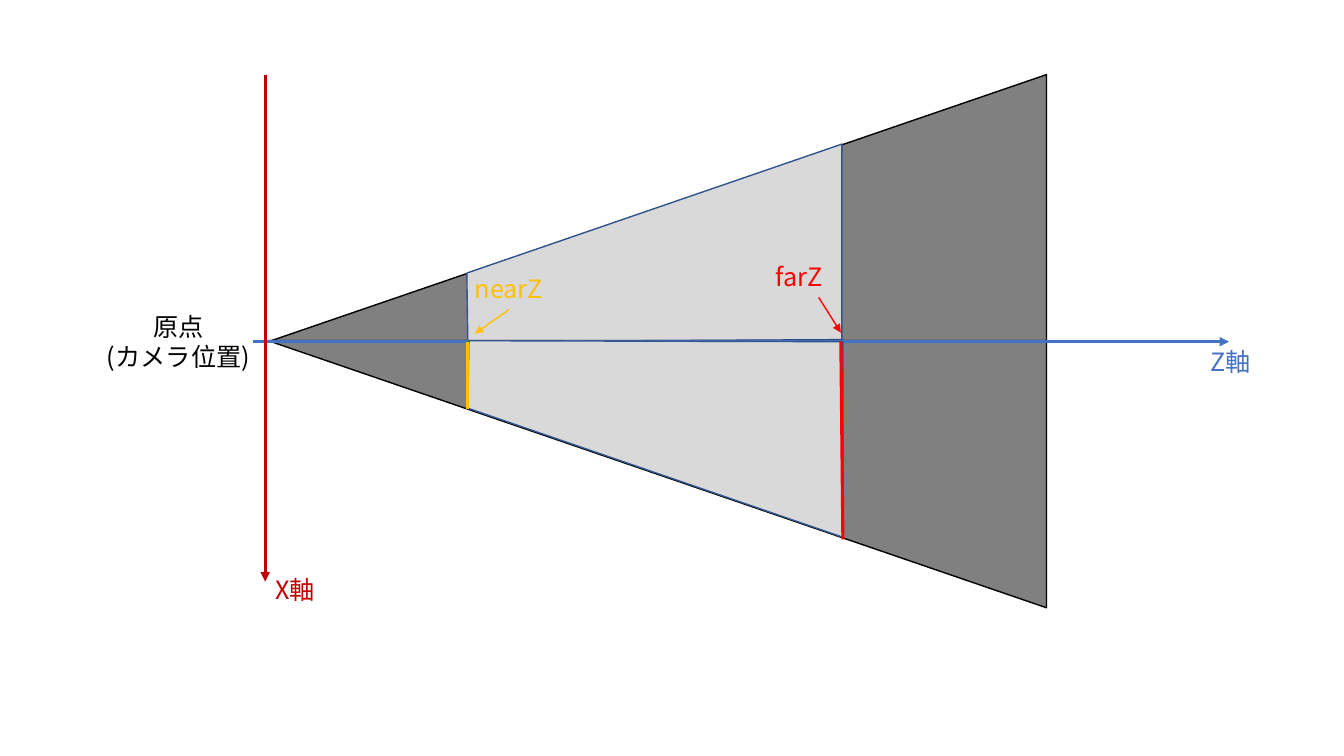
from lxml import etree
from pptx import Presentation
from pptx.dml.color import RGBColor as RGB
from pptx.enum.shapes import MSO_CONNECTOR as Connector, MSO_SHAPE as Shape
from pptx.enum.text import MSO_AUTO_SIZE as AutoSize, PP_ALIGN as Align
from pptx.oxml.ns import qn
from pptx.util import Inches, Pt

THEME = {
    "font": "Noto Sans CJK JP",
    "label_size": 18, "outline": 1, "thick": 2.25,
    "clipped": "808080", "visible": "D9D9D9",
    "edge": "000000", "visible_edge": "325491",
    "z": "4472C4", "x": "C00000",
    "near": "FFC000", "far": "FF0000", "origin": "000000",
}

UPPER_HALF = ((2.66, 0.74), {"flipH": "1"})
LOWER_HALF = ((2.66, 3.38), {"flipH": "1", "flipV": "1"})
HALF_SIZE = (7.72, 2.65)

UPPER_FRUSTUM = [(4.64, 3.39), (4.63, 2.71), (8.35, 1.43), (8.35, 3.37)]
LOWER_FRUSTUM = [(4.65, 3.38), (4.64, 4.05), (8.36, 5.33), (8.36, 3.39)]

ARROWS = [
    ("z", (2.51, 3.39), (12.19, 3.39), "thick"),
    ("x", (2.63, 0.74), (2.63, 5.77), "thick"),
    ("near", (5.05, 3.07), (4.71, 3.31), "outline"),
    ("far", (8.12, 2.95), (8.34, 3.3), "outline"),
]
CLIP_EDGES = [
    ("near", (4.64, 4.06), (4.64, 3.39)),
    ("far", (8.36, 5.35), (8.34, 3.39)),
]
LABELS = [
    ("z", ["Z軸"], (11.91, 3.39, 1.15, 0.4), Align.LEFT),
    ("x", ["X軸"], (2.63, 5.65, 1.15, 0.4), Align.LEFT),
    ("near", ["nearZ"], (4.47, 2.66, 1.15, 0.4), Align.CENTER),
    ("far", ["farZ"], (7.35, 2.54, 1.15, 0.4), Align.CENTER),
    ("origin", ["原点", "(カメラ位置)"], (0.88, 3.04, 1.78, 0.71), Align.CENTER),
]


def color(role):
    return RGB.from_string(THEME[role])


def inches(lengths):
    return [Inches(length) for length in lengths]


def paint(area, fill, edge):
    area.shadow.inherit = False
    area.fill.solid()
    area.fill.fore_color.rgb = color(fill)
    area.line.color.rgb = color(edge)
    area.line.width = Pt(THEME["outline"])


def add_half(shapes, corner, flips):
    half = shapes.add_shape(Shape.RIGHT_TRIANGLE, *inches(corner + HALF_SIZE))
    for flip, value in flips.items():
        half.element.spPr.get_or_add_xfrm().set(flip, value)
    paint(half, "clipped", "edge")


def add_frustum(shapes, corners):
    first, *rest = [inches(corner) for corner in corners]
    outline = shapes.build_freeform(*first)
    outline.add_line_segments(rest, close=True)
    paint(outline.convert_to_shape(), "visible", "visible_edge")


def add_line(shapes, role, start, end, weight="thick", arrow=False):
    line = shapes.add_connector(Connector.STRAIGHT, *inches(start + end))
    line.line.color.rgb = color(role)
    line.line.width = Pt(THEME[weight])
    if arrow:
        etree.SubElement(line.line._get_or_add_ln(), qn("a:tailEnd"), type="triangle")
    etree.SubElement(line.element.spPr, qn("a:effectLst"))


def add_label(shapes, role, lines, place, align):
    frame = shapes.add_textbox(*inches(place)).text_frame
    for name, value in {"word_wrap": True, "auto_size": AutoSize.SHAPE_TO_FIT_TEXT}.items():
        setattr(frame, name, value)
    frame.text = "\n".join(lines)
    text_format = {"size": Pt(THEME["label_size"]), "name": THEME["font"]}
    for paragraph in frame.paragraphs:
        paragraph.alignment = align
        for run in paragraph.runs:
            for name, value in text_format.items():
                setattr(run.font, name, value)
            run.font.color.rgb = color(role)
            etree.SubElement(run.font._element, qn("a:ea"), typeface=THEME["font"])


def main():
    deck = Presentation()
    deck.slide_width, deck.slide_height = inches((13.33, 7.5))
    shapes = deck.slides.add_slide(deck.slide_layouts[6]).shapes

    add_half(shapes, *UPPER_HALF)
    add_frustum(shapes, UPPER_FRUSTUM)
    add_half(shapes, *LOWER_HALF)
    for arrow in ARROWS:
        add_line(shapes, *arrow, arrow=True)
    for label in LABELS:
        add_label(shapes, *label)
    add_frustum(shapes, LOWER_FRUSTUM)
    for clip_edge in CLIP_EDGES:
        add_line(shapes, *clip_edge)

    deck.save("out.pptx")


if __name__ == "__main__":
    main()
